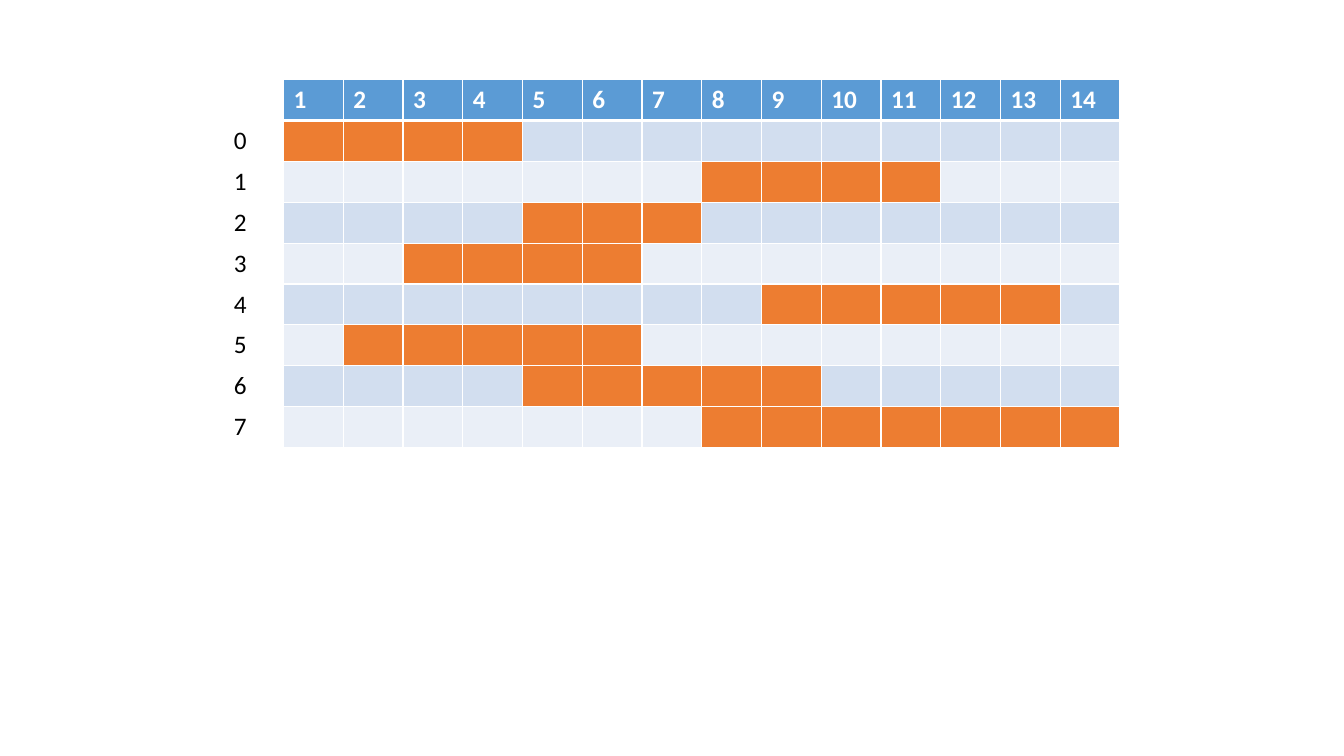
"""Build a slide with a schedule table of eight tasks over fourteen time slots."""
from lxml import etree
from pptx import Presentation
from pptx.dml.color import RGBColor
from pptx.oxml import ns
from pptx.util import Inches, Pt

SLOT_COUNT = 14
TASK_SPANS = [(1, 4), (8, 11), (5, 7), (3, 6), (9, 13), (2, 6), (5, 9), (8, 14)]

THEME = {
    "font": "Calibri",
    "size": Pt(18),
    "white": "FFFFFF",
    "black": "000000",
    "header": "5B9BD5",
    "bands": ("D2DEEF", "EAEFF7"),
    "busy": "ED7D31",
    "thin": Pt(1),
    "thick": Pt(3),
}
LEFT, TOP, WIDTH, HEIGHT = Inches(2.22), Inches(0.79), Inches(8.89), Inches(3.65)


def cell_fill(row, slot):
    if slot == 0:
        return THEME["white"]
    if row == 0:
        return THEME["header"]
    first, last = TASK_SPANS[row - 1]
    return THEME["busy"] if first <= slot <= last else THEME["bands"][(row - 1) % 2]


def cell_label(row, slot):
    if row == 0:
        return str(slot) if slot else ""
    return "" if slot else str(row - 1)


def set_borders(cell, row):
    thick_sides = {0: "B", 1: "T"}.get(row, "")
    properties = cell._tc.get_or_add_tcPr()
    for index, side in enumerate("LRTB"):
        width = THEME["thick"] if side in thick_sides else THEME["thin"]
        line = etree.Element(ns.qn(f"a:ln{side}"), w=str(int(width)))
        fill = etree.SubElement(line, ns.qn("a:solidFill"))
        etree.SubElement(fill, ns.qn("a:srgbClr"), val=THEME["white"])
        properties.insert(index, line)


def style_cell(cell, row, slot):
    cell.fill.solid()
    cell.fill.fore_color.rgb = RGBColor.from_string(cell_fill(row, slot))
    set_borders(cell, row)
    cell.text_frame.text = cell_label(row, slot)
    paragraph = cell.text_frame.paragraphs[0]
    for run in paragraph.runs:
        run.font.name = THEME["font"]
        run.font.size = THEME["size"]
        run.font.bold = row == 0
        color = THEME["black"] if row else THEME["white"]
        run.font.color.rgb = RGBColor.from_string(color)


presentation = Presentation()
presentation.slide_width, presentation.slide_height = Inches(13.33), Inches(7.5)
slide = presentation.slides.add_slide(presentation.slide_layouts[6])

row_count, column_count = len(TASK_SPANS) + 1, SLOT_COUNT + 1
table = slide.shapes.add_table(row_count, column_count, LEFT, TOP, WIDTH, HEIGHT).table
for row in range(row_count):
    for slot in range(column_count):
        style_cell(table.cell(row, slot), row, slot)

presentation.save("out.pptx")
